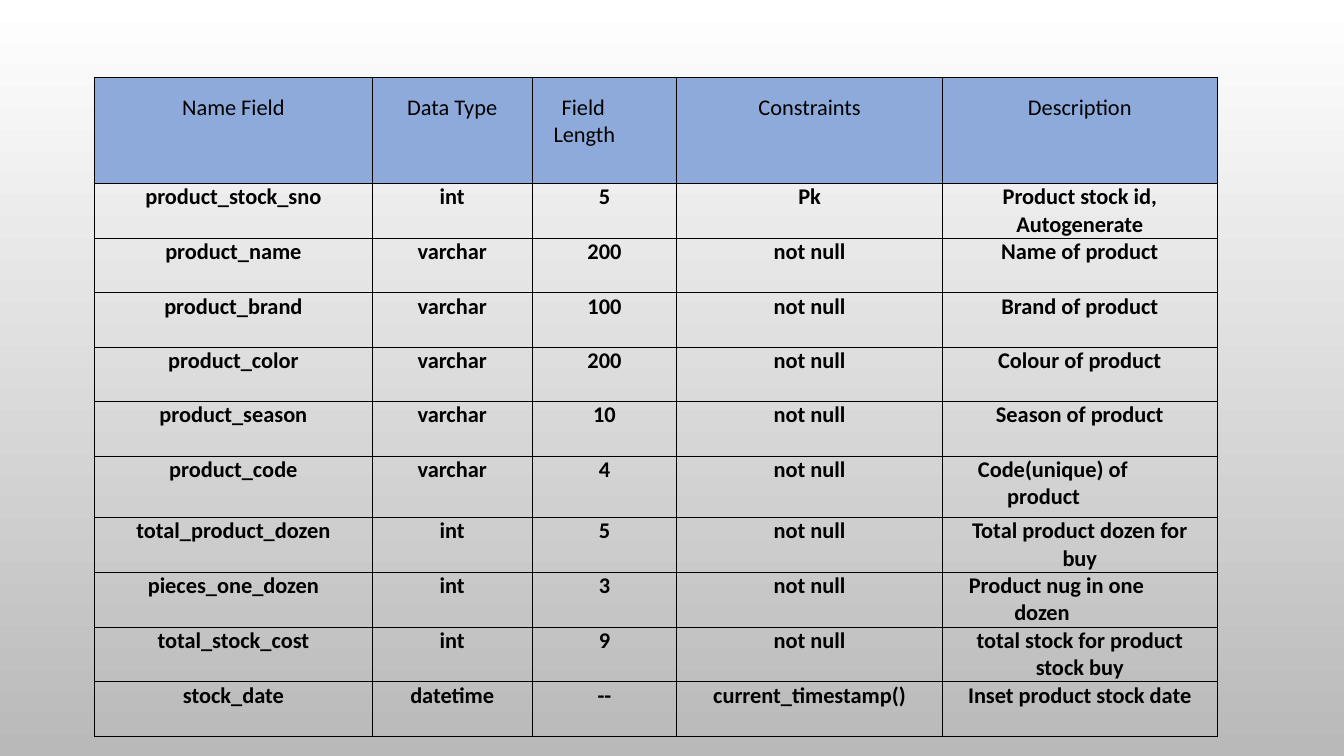
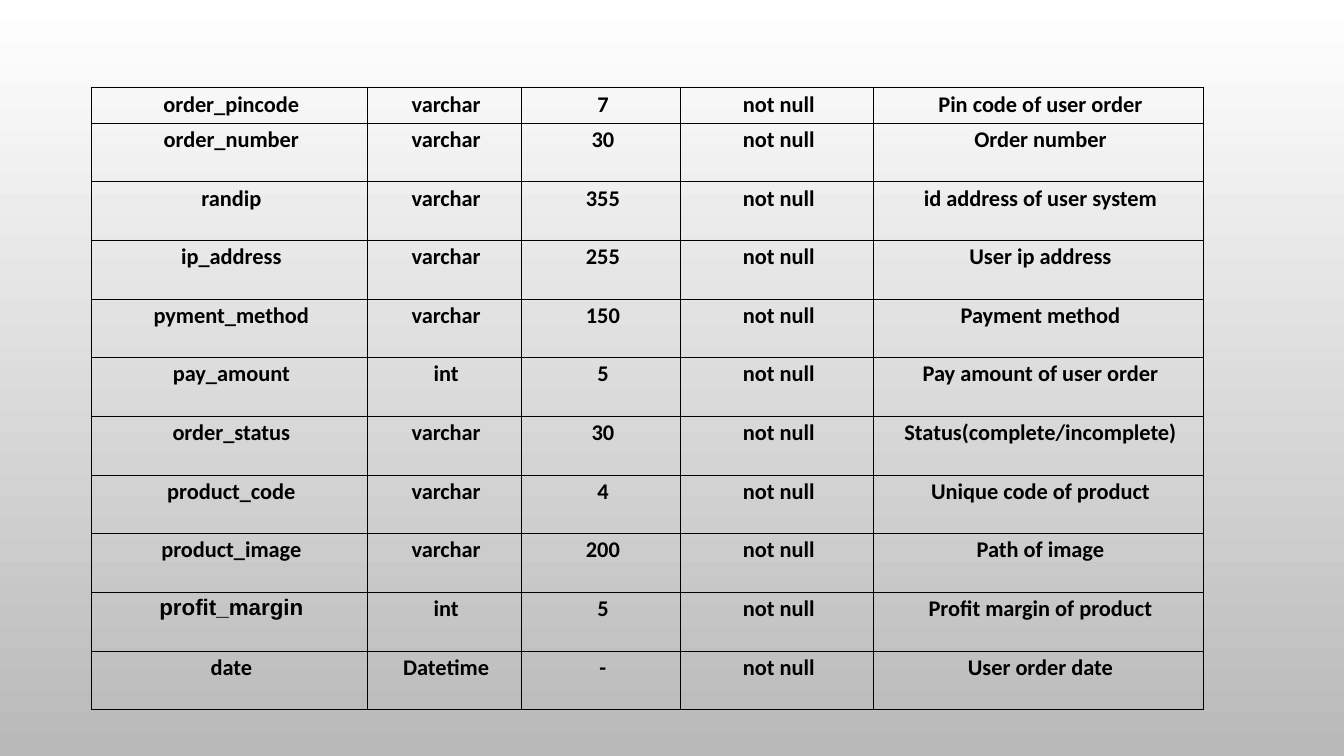
from lxml import etree
from pptx import Presentation
from pptx import util as u
from pptx.dml.color import RGBColor
from pptx.enum import text
from pptx.oxml.ns import qn

COLORS = {"ink": "000000", "header": "8EAADB", "top": "FFFFFF", "bottom": "B9B9B9"}
FONT = "Calibri"


def add_borders(cell):
    props = cell._tc.get_or_add_tcPr()
    for place, side in enumerate(("lnL", "lnR", "lnT", "lnB")):
        line = etree.Element(qn(f"a:{side}"), w=str(u.Pt(0.5)))
        fill = etree.SubElement(line, qn("a:solidFill"))
        etree.SubElement(fill, qn("a:srgbClr"), val=COLORS["ink"])
        props.insert(place, line)


# Each line break in a centred cell starts a new paragraph
stock_rows = [
    ("Name Field", "Data Type", "Field\nLength", "Constraints", "Description"),
    ("product_stock_sno", "int", "5", "Pk", "Product stock id,\nAutogenerate"),
    ("product_name", "varchar", "200", "not null", "Name of product"),
    ("product_brand", "varchar", "100", "not null", "Brand of product"),
    ("product_color", "varchar", "200", "not null", "Colour of product"),
    ("product_season", "varchar", "10", "not null", "Season of product"),
    ("product_code", "varchar", "4", "not null", "Code(unique) of\nproduct"),
    ("total_product_dozen", "int", "5", "not null", "Total product dozen for\nbuy"),
    ("pieces_one_dozen", "int", "3", "not null", "Product nug in one\ndozen"),
    ("total_stock_cost", "int", "9", "not null", "total stock for product\nstock buy"),
    ("stock_date", "datetime", "--", "current_timestamp()", "Inset product stock date"),
]
order_rows = [
    ("order_pincode", "varchar", "7", "not null", "Pin code of user order"),
    ("order_number", "varchar", "30", "not null", "Order number"),
    ("randip", "varchar", "355", "not null", "id address of user system"),
    ("ip_address", "varchar", "255", "not null", "User ip address"),
    ("pyment_method", "varchar", "150", "not null", "Payment method"),
    ("pay_amount", "int", "5", "not null", "Pay amount of user order"),
    ("order_status", "varchar", "30", "not null", "Status(complete/incomplete)"),
    ("product_code", "varchar", "4", "not null", "Unique code of product"),
    ("product_image", "varchar", "200", "not null", "Path of image"),
    ("profit_margin", "int", "5", "not null", "Profit margin of product"),
    ("date", "Datetime", "-", "not null", "User order date"),
]

# Left-aligned cells: left margin and first-line indent
indents = {
    "Field\nLength": (0.21, 0.08),
    "Code(unique) of\nproduct": (0.64, -0.29),
    "Product nug in one\ndozen": (0.71, -0.45),
}
special_fonts = {"profit_margin": "Arial"}

tables = [
    {"rows": stock_rows, "at": (0.94, 0.77), "columns": (2.75, 1.59, 1.43, 2.64, 2.72),
     "heights": [1.05] + [0.54] * 5 + [0.61] + [0.54] * 4,
     "header": True, "left": 0, "top": 0},
    {"rows": order_rows, "at": (0.91, 0.87), "columns": (2.73, 1.53, 1.58, 1.91, 3.28),
     "heights": [0.35] + [(6.17 - 0.35) / 10] * 10,
     "header": False, "left": 0.04, "top": 0.03},
]

deck = Presentation()
deck.slide_width, deck.slide_height = u.Inches(13.33), u.Inches(7.5)

# Shared background
backdrop = deck.slide_master.background.fill
backdrop.gradient()
backdrop.gradient_angle = 270
for stop, position, name in zip(backdrop.gradient_stops, (0, 1), ("top", "bottom")):
    stop.position = position
    stop.color.rgb = RGBColor.from_string(COLORS[name])

# One table per slide
for item in tables:
    page = deck.slides.add_slide(deck.slide_layouts[6])
    left, top = item["at"]
    table = page.shapes.add_table(
        len(item["rows"]), len(item["columns"]), u.Inches(left), u.Inches(top),
        u.Inches(sum(item["columns"])), u.Inches(sum(item["heights"]))).table
    table.first_row = item["header"]
    table.horz_banding = False
    for column, width in zip(table.columns, item["columns"]):
        column.width = u.Inches(width)

    for row_number, (row, height) in enumerate(zip(table.rows, item["heights"])):
        row.height = u.Inches(height)
        is_header = item["header"] and row_number == 0
        for cell, words in zip(row.cells, item["rows"][row_number]):
            # Cell frame
            cell.margin_left = u.Inches(item["left"])
            cell.margin_top = u.Inches(0.16 if is_header else item["top"])
            cell.margin_right = cell.margin_bottom = 0
            if is_header:
                cell.fill.solid()
                cell.fill.fore_color.rgb = RGBColor.from_string(COLORS["header"])
            else:
                cell.fill.background()
            add_borders(cell)

            # Cell text
            frame = cell.text_frame
            para = frame.paragraphs[0]
            para.alignment = text.PP_ALIGN.CENTER
            if words in indents:
                margin, first = indents[words]
                para.alignment = text.PP_ALIGN.LEFT
                props = para._p.get_or_add_pPr()
                props.set("marL", str(u.Inches(margin)))
                props.set("indent", str(u.Inches(first)))
            for number, line in enumerate(words.split("\n")):
                if number and words in indents:
                    para.add_line_break()
                elif number:
                    para = frame.add_paragraph()
                    para.alignment = text.PP_ALIGN.CENTER
                span = para.add_run()
                span.text = line
                span.font.name = special_fonts.get(words, FONT)
                span.font.size = u.Pt(16)
                span.font.bold = not is_header
                span.font.color.rgb = RGBColor.from_string(COLORS["ink"])

deck.save("out.pptx")
